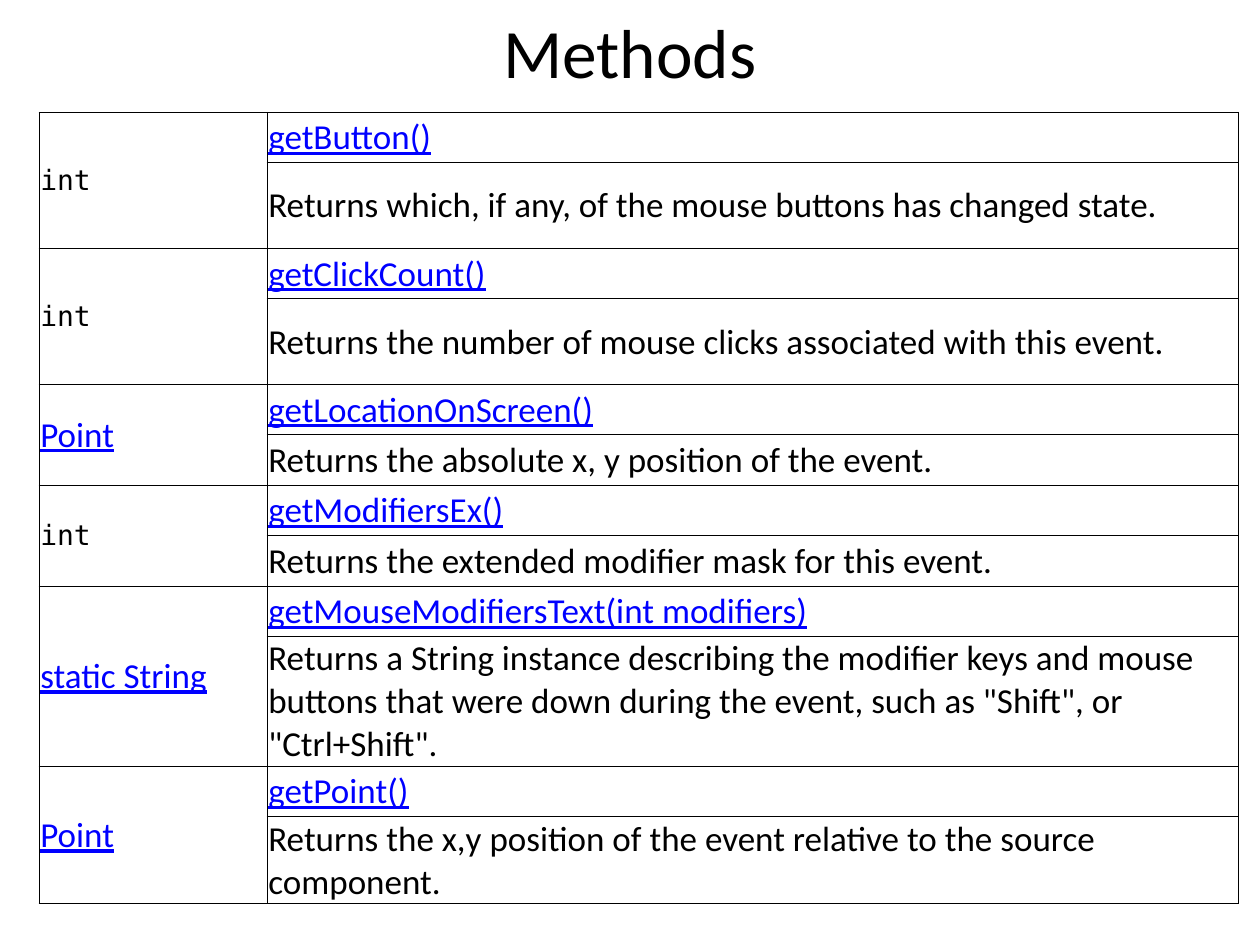
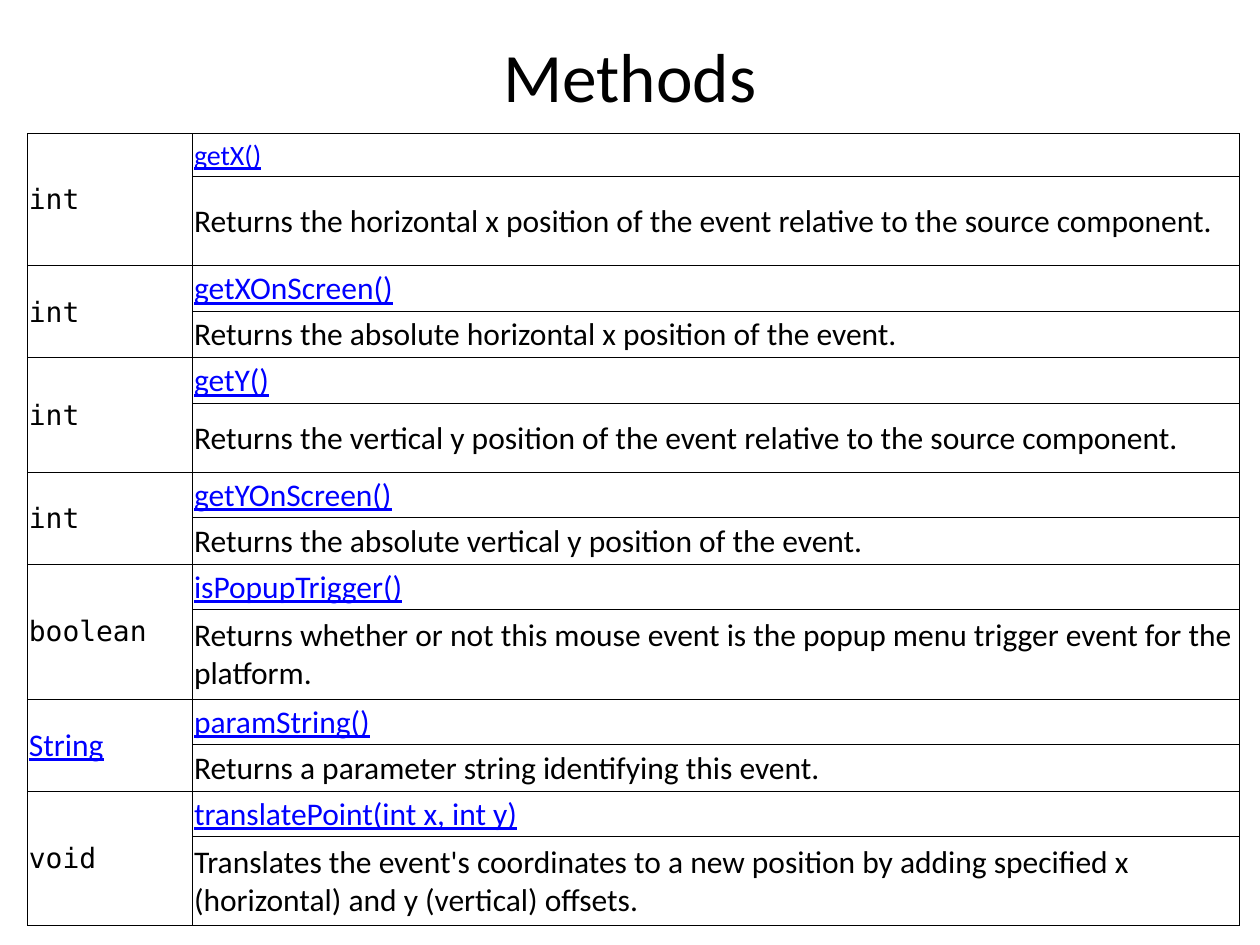
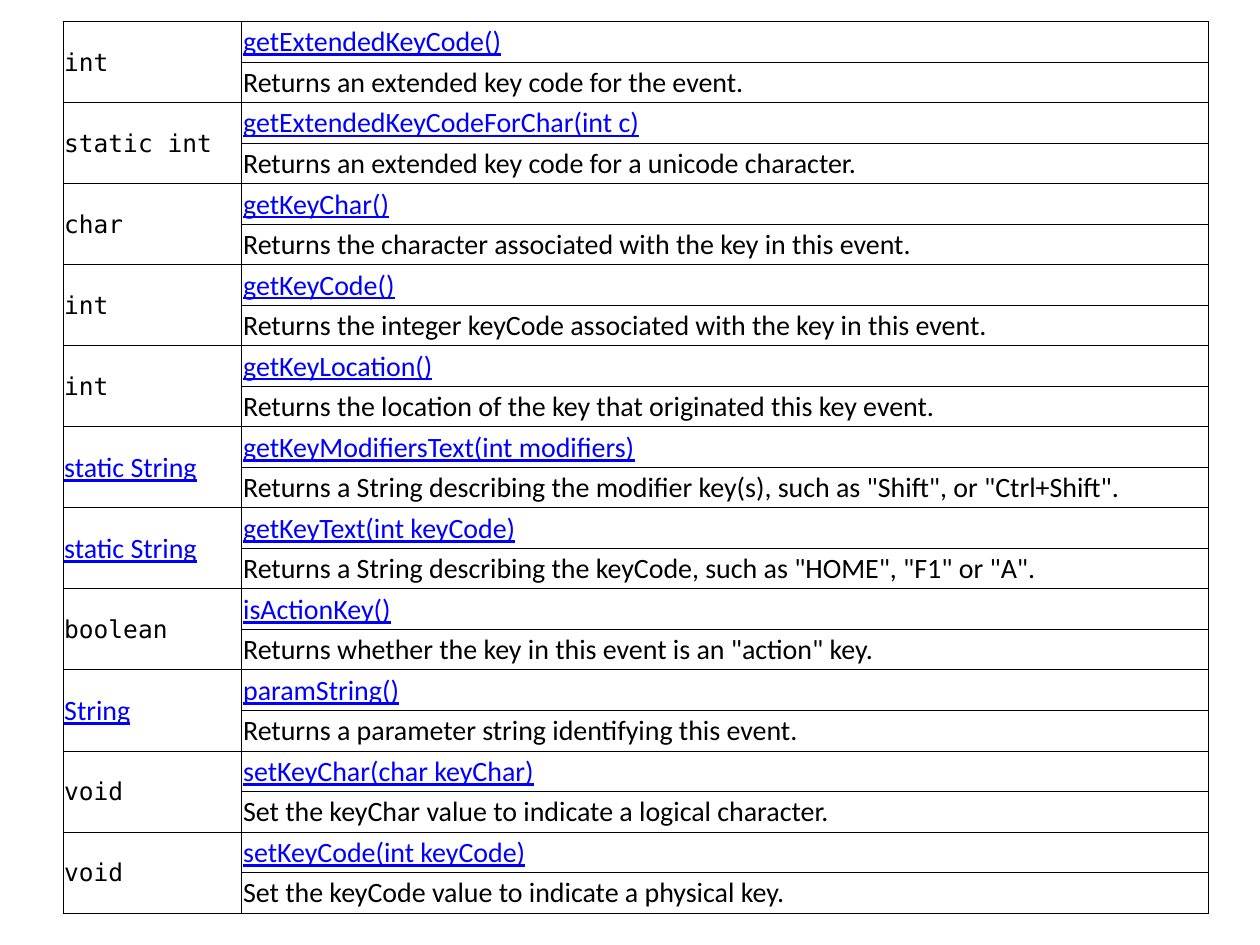
import pptx
import pptx.util
import pptx.dml.color
import pptx.enum.text
import pptx.oxml
import pptx.oxml.ns

Inches = pptx.util.Inches
Pt = pptx.util.Pt

COLORS = {"text": "000000", "link": "0000FF", "border": "000000"}
BODY_FONT = "Calibri"
CODE_FONT = "DejaVu Sans Mono"
BORDER_WIDTH = Pt(0.5)
TITLE_SIZE = 39.6

MOUSE_METHODS = [
    ("int", "getButton()", "Returns which, if any, of the mouse buttons has changed state."),
    ("int", "getClickCount()", "Returns the number of mouse clicks associated with this event."),
    ("Point", "getLocationOnScreen()", "Returns the absolute x, y position of the event."),
    ("int", "getModifiersEx()", "Returns the extended modifier mask for this event."),
    ("static String", "getMouseModifiersText(int modifiers)",
     "Returns a String instance describing the modifier keys and mouse buttons that were down "
     "during the event, such as \"Shift\", or \"Ctrl+Shift\"."),
    ("Point", "getPoint()", "Returns the x,y position of the event relative to the source component."),
]
POSITION_METHODS = [
    ("int", "getX()", "Returns the horizontal x position of the event relative to the source component."),
    ("int", "getXOnScreen()", "Returns the absolute horizontal x position of the event."),
    ("int", "getY()", "Returns the vertical y position of the event relative to the source component."),
    ("int", "getYOnScreen()", "Returns the absolute vertical y position of the event."),
    ("boolean", "isPopupTrigger()",
     "Returns whether or not this mouse event is the popup menu trigger event for the platform."),
    ("String", "paramString()", "Returns a parameter string identifying this event."),
    ("void", "translatePoint(int x, int y)",
     "Translates the event's coordinates to a new position by adding specified x (horizontal) "
     "and y (vertical) offsets."),
]
KEY_METHODS = [
    ("int", "getExtendedKeyCode()", "Returns an extended key code for the event."),
    ("static int", "getExtendedKeyCodeForChar(int c)", "Returns an extended key code for a unicode character."),
    ("char", "getKeyChar()", "Returns the character associated with the key in this event."),
    ("int", "getKeyCode()", "Returns the integer keyCode associated with the key in this event."),
    ("int", "getKeyLocation()", "Returns the location of the key that originated this key event."),
    ("static String", "getKeyModifiersText(int modifiers)",
     "Returns a String describing the modifier key(s), such as \"Shift\", or \"Ctrl+Shift\"."),
    ("static String", "getKeyText(int keyCode)",
     "Returns a String describing the keyCode, such as \"HOME\", \"F1\" or \"A\"."),
    ("boolean", "isActionKey()", "Returns whether the key in this event is an \"action\" key."),
    ("String", "paramString()", "Returns a parameter string identifying this event."),
    ("void", "setKeyChar(char keyChar)", "Set the keyChar value to indicate a logical character."),
    ("void", "setKeyCode(int keyCode)", "Set the keyCode value to indicate a physical key."),
]

SLIDES = [
    {"title": "Methods", "title_top": 0.12, "title_height": 0.57,
     "methods": MOUSE_METHODS, "left": 0.31, "top": 0.89, "columns": (1.81, 7.71),
     "body_size": 20, "code_size": 16, "first_size": 20,
     "signature_heights": [0.4] * 6,
     "description_heights": [0.68, 0.68, 0.4, 0.4, 1.01, 0.68]},
    {"title": "Methods", "title_top": 0.3, "title_height": 0.59,
     "methods": POSITION_METHODS, "left": 0.22, "top": 1.06, "columns": (1.31, 8.31),
     "body_size": 18, "code_size": 16, "first_size": 16,
     "signature_heights": [0.34] + [0.36] * 6,
     "description_heights": [0.71, 0.37, 0.55, 0.37, 0.71, 0.37, 0.71]},
    {"title": None,
     "methods": KEY_METHODS, "left": 0.5, "top": 0.17, "columns": (1.42, 7.67),
     "body_size": 16, "code_size": 14, "first_size": 16,
     "signature_heights": [7.08 / 22] * 11,
     "description_heights": [7.08 / 22] * 11},
]


def style_font(font, size, name=BODY_FONT, color="text", underline=False):
    font.size = Pt(size)
    font.name = name
    font.color.rgb = pptx.dml.color.RGBColor.from_string(COLORS[color])
    if underline:
        font.underline = True


def add_title(slide, content):
    title = slide.shapes.title
    title.left, title.top = Inches(0.5), Inches(content["title_top"])
    title.width, title.height = Inches(9), Inches(content["title_height"])
    title.text_frame.text = content["title"]
    title.text_frame.vertical_anchor = pptx.enum.text.MSO_ANCHOR.MIDDLE
    heading = title.text_frame.paragraphs[0]
    heading.alignment = pptx.enum.text.PP_ALIGN.CENTER
    style_font(heading.runs[0].font, TITLE_SIZE)


def format_cell(cell):
    cell.margin_left = cell.margin_right = cell.margin_top = Inches(0.01)
    cell.margin_bottom = 0
    cell.vertical_anchor = pptx.enum.text.MSO_ANCHOR.MIDDLE
    cell.fill.background()
    properties = cell._tc.get_or_add_tcPr()
    for position, side in enumerate(("lnL", "lnR", "lnT", "lnB")):
        border = pptx.oxml.parse_xml(
            f'<a:{side} {pptx.oxml.ns.nsdecls("a")} w="{BORDER_WIDTH}"><a:solidFill>'
            f'<a:srgbClr val="{COLORS["border"]}"/></a:solidFill></a:{side}>')
        properties.insert(position, border)


def write_cell(cell, text, **style):
    cell.text_frame.text = text
    style_font(cell.text_frame.paragraphs[0].runs[0].font, **style)


def add_method_table(slide, content):
    methods, body_size = content["methods"], content["body_size"]
    heights = [height for pair in zip(content["signature_heights"], content["description_heights"])
               for height in pair]
    table = slide.shapes.add_table(
        len(heights), 2, Inches(content["left"]), Inches(content["top"]),
        Inches(sum(content["columns"])), Inches(sum(heights))).table
    table.first_row = table.horz_banding = False
    for column, width in zip(table.columns, content["columns"]):
        column.width = Inches(width)
    for row, height in zip(table.rows, heights):
        row.height = Inches(height)
    for cell in table.iter_cells():
        format_cell(cell)

    link = {"color": "link", "underline": True}
    for index, (return_type, signature, description) in enumerate(methods):
        row = 2 * index
        type_cell = table.cell(row, 0)
        type_cell.merge(table.cell(row + 1, 0))
        is_class = return_type.split()[-1][0].isupper()
        if is_class:
            write_cell(type_cell, return_type, size=body_size, **link)
        else:
            write_cell(type_cell, return_type, size=content["code_size"], name=CODE_FONT)
        signature_size = body_size if index else content["first_size"]
        write_cell(table.cell(row, 1), signature, size=signature_size, **link)
        write_cell(table.cell(row + 1, 1), description, size=body_size)


def main():
    deck = pptx.Presentation()
    deck.slide_width, deck.slide_height = Inches(10), Inches(7.5)
    title_only, blank = deck.slide_layouts[5], deck.slide_layouts[6]
    for content in SLIDES:
        slide = deck.slides.add_slide(title_only if content["title"] else blank)
        if content["title"]:
            add_title(slide, content)
        add_method_table(slide, content)
    deck.save("out.pptx")


if __name__ == "__main__":
    main()
